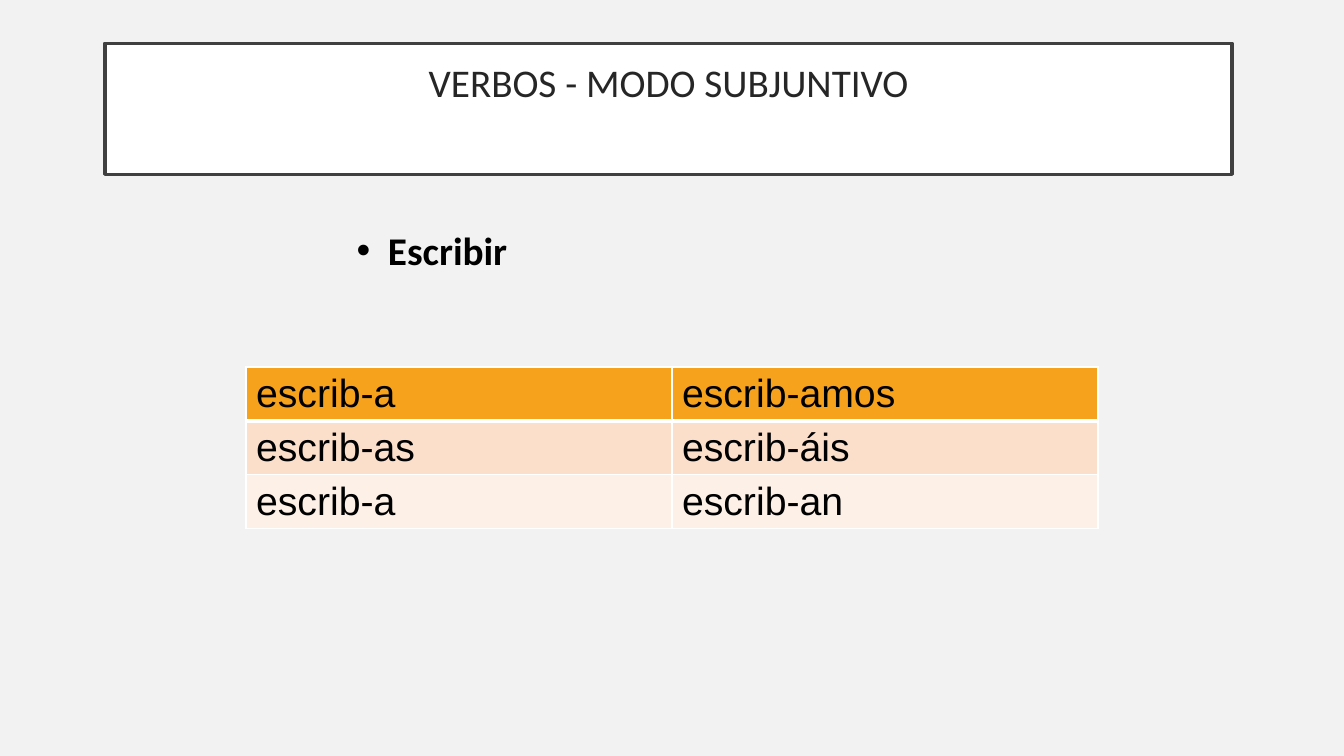
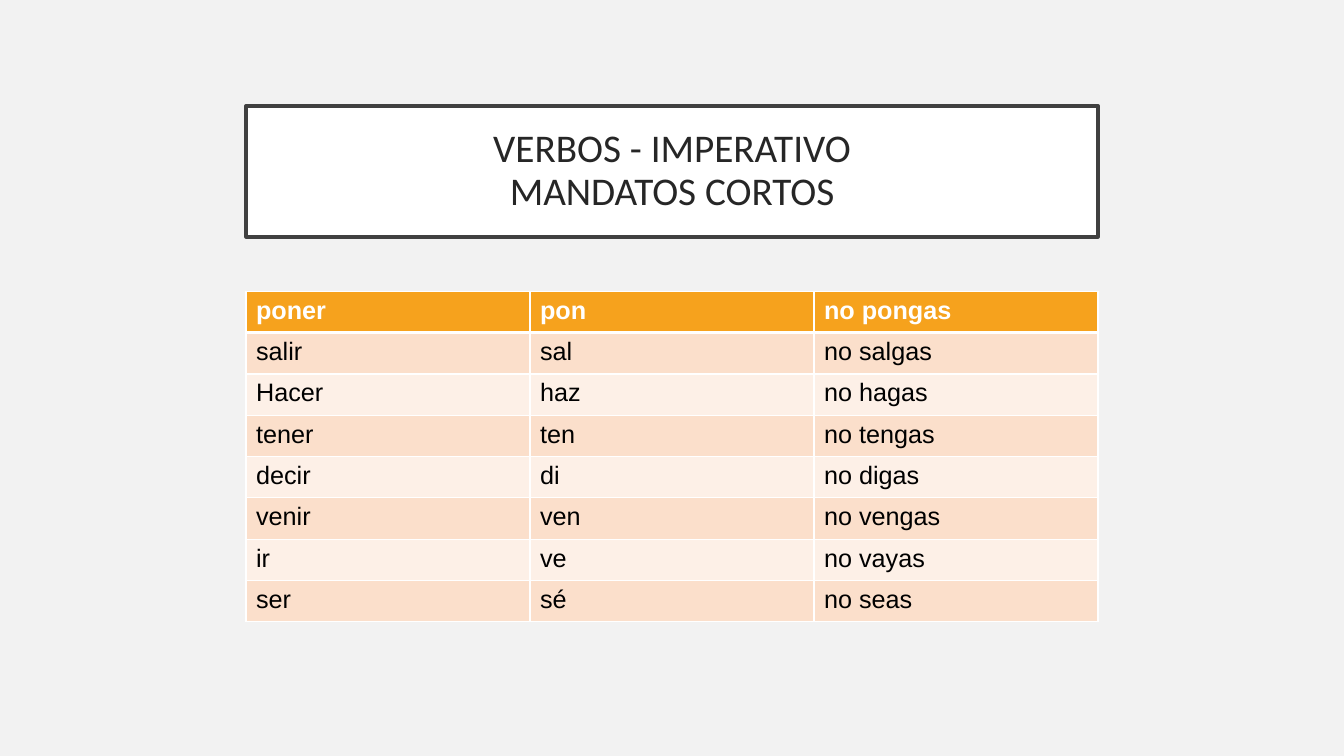
"""Build two slides of Spanish verb tables with boxed titles."""
from dataclasses import dataclass

from lxml.etree import SubElement
from pptx import Presentation
from pptx.dml.color import RGBColor
from pptx.enum.shapes import MSO_SHAPE
from pptx.enum.text import MSO_ANCHOR, PP_ALIGN
from pptx.oxml.ns import qn
from pptx.util import Inches, Pt

BACKGROUND = RGBColor(0xF2, 0xF2, 0xF2)
WHITE = RGBColor(0xFF, 0xFF, 0xFF)
BLACK = RGBColor(0x00, 0x00, 0x00)
FRAME = RGBColor(0x40, 0x40, 0x40)
TITLE_TEXT = RGBColor(0x26, 0x26, 0x26)
HEADER = RGBColor(0xF6, 0xA2, 0x1D)
BANDS = (RGBColor(0xFB, 0xDF, 0xCB), RGBColor(0xFD, 0xF0, 0xE7))
TITLE_FONT, TABLE_FONT = "Calibri", "Arial"
TABLE_LEFT, TABLE_WIDTH = 2.44, 8.45


@dataclass(frozen=True)
class Title:
    lines: tuple[str, ...]
    left: float
    top: float
    width: float
    anchor: MSO_ANCHOR = MSO_ANCHOR.MIDDLE


@dataclass(frozen=True)
class VerbTable:
    rows: tuple[tuple[str, ...], ...]
    top: float
    row_height: float
    size: int
    header_color: RGBColor
    header_bold: bool


def add_run(p, text: str, font: str, size: int, color: RGBColor, bold: bool = False) -> None:
    r = p.add_run()
    r.text = text
    r.font.name, r.font.size, r.font.bold = font, Pt(size), bold
    r.font.color.rgb = color


def add_slide(prs):
    s = prs.slides.add_slide(prs.slide_layouts[6])
    s.background.fill.solid()
    s.background.fill.fore_color.rgb = BACKGROUND
    return s


def add_title(s, title: Title) -> None:
    sp = s.shapes.add_shape(MSO_SHAPE.RECTANGLE, Inches(title.left), Inches(title.top),
                            Inches(title.width), Inches(1.3))
    sp.shadow.inherit = False
    sp.fill.solid()
    sp.fill.fore_color.rgb = WHITE
    sp.line.color.rgb = FRAME
    sp.line.width = Pt(2.5)
    tf = sp.text_frame
    tf.word_wrap = True
    tf.vertical_anchor = title.anchor
    tf.margin_left = tf.margin_right = tf.margin_top = tf.margin_bottom = Inches(0.2)
    for i, line in enumerate(title.lines):
        p = tf.add_paragraph() if i else tf.paragraphs[0]
        p.alignment = PP_ALIGN.CENTER
        p.line_spacing = 0.9
        add_run(p, line, TITLE_FONT, 28, TITLE_TEXT)


def add_bullet(s, text: str) -> None:
    sp = s.shapes.add_textbox(Inches(3.33), Inches(2.2), Inches(6.67), Inches(1.04))
    tf = sp.text_frame
    tf.word_wrap = True
    p = tf.paragraphs[0]
    pPr = p._p.get_or_add_pPr()
    pPr.set("marL", str(Inches(0.42)))
    pPr.set("indent", str(Inches(-0.31)))
    color = SubElement(pPr, qn("a:buClr"))
    SubElement(color, qn("a:srgbClr"), val=str(BLACK))
    SubElement(pPr, qn("a:buFont"), typeface="Arial")
    SubElement(pPr, qn("a:buChar"), char="•")
    add_run(p, text, TITLE_FONT, 28, BLACK, bold=True)


def set_borders(cell, row: int) -> None:
    tcPr = cell._tc.get_or_add_tcPr()
    widths = {"L": 1, "R": 1, "T": 3 if row == 1 else 1, "B": 3 if row == 0 else 1}
    for side, width in widths.items():
        ln = SubElement(tcPr, qn(f"a:ln{side}"), w=str(Pt(width)))
        fill = SubElement(ln, qn("a:solidFill"))
        SubElement(fill, qn("a:srgbClr"), val=str(WHITE))


def add_verbs(s, verbs: VerbTable) -> None:
    n_rows, n_cols = len(verbs.rows), len(verbs.rows[0])
    table = s.shapes.add_table(n_rows, n_cols, Inches(TABLE_LEFT), Inches(verbs.top),
                               Inches(TABLE_WIDTH), Inches(verbs.row_height * n_rows)).table
    for i, row in enumerate(verbs.rows):
        header = i == 0
        for j, text in enumerate(row):
            cell = table.cell(i, j)
            set_borders(cell, i)
            cell.fill.solid()
            cell.fill.fore_color.rgb = HEADER if header else BANDS[(i - 1) % 2]
            add_run(cell.text_frame.paragraphs[0], text, TABLE_FONT, verbs.size,
                    verbs.header_color if header else BLACK, header and verbs.header_bold)


SUBJUNCTIVE_TITLE = Title(("VERBOS - MODO SUBJUNTIVO",), 1.04, 0.43, 11.18, MSO_ANCHOR.TOP)
SUBJUNCTIVE = VerbTable((
    ("escrib-a", "escrib-amos"),
    ("escrib-as", "escrib-áis"),
    ("escrib-a", "escrib-an"),
), 3.64, 0.53, 28, BLACK, False)

IMPERATIVE_TITLE = Title(("VERBOS - IMPERATIVO", "MANDATOS CORTOS"),
                         TABLE_LEFT, 1.05, TABLE_WIDTH)
IMPERATIVE = VerbTable((
    ("poner", "pon", "no pongas"),
    ("salir", "sal", "no salgas"),
    ("Hacer", "haz", "no hagas"),
    ("tener", "ten", "no tengas"),
    ("decir", "di", "no digas"),
    ("venir", "ven", "no vengas"),
    ("ir", "ve", "no vayas"),
    ("ser", "sé", "no seas"),
), 2.89, 0.41, 18, WHITE, True)


def main() -> None:
    prs = Presentation()
    prs.slide_width, prs.slide_height = Inches(13.33), Inches(7.5)

    s = add_slide(prs)
    add_title(s, SUBJUNCTIVE_TITLE)
    add_verbs(s, SUBJUNCTIVE)
    add_bullet(s, "Escribir")

    s = add_slide(prs)
    add_title(s, IMPERATIVE_TITLE)
    add_verbs(s, IMPERATIVE)

    prs.save("out.pptx")


if __name__ == "__main__":
    main()
